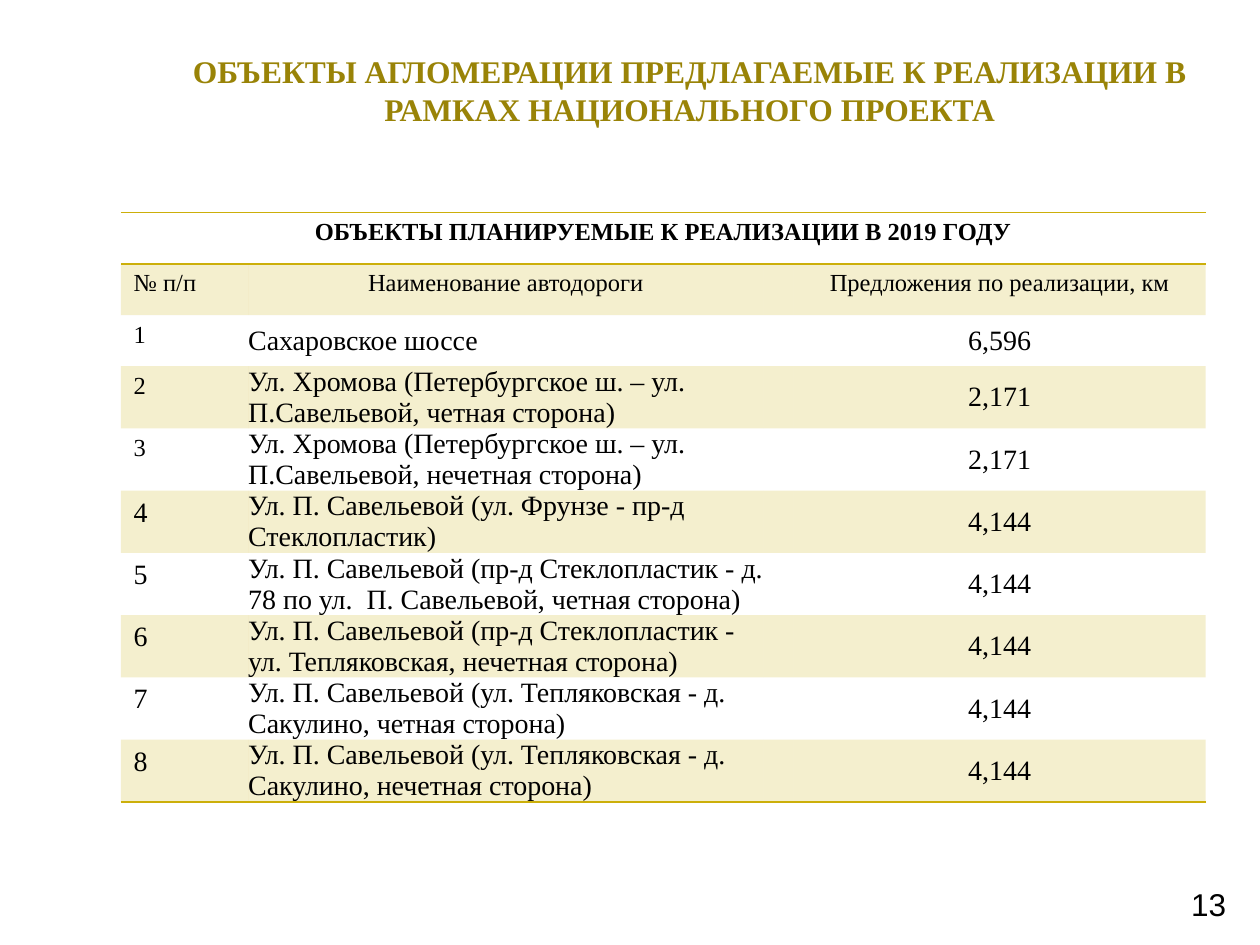
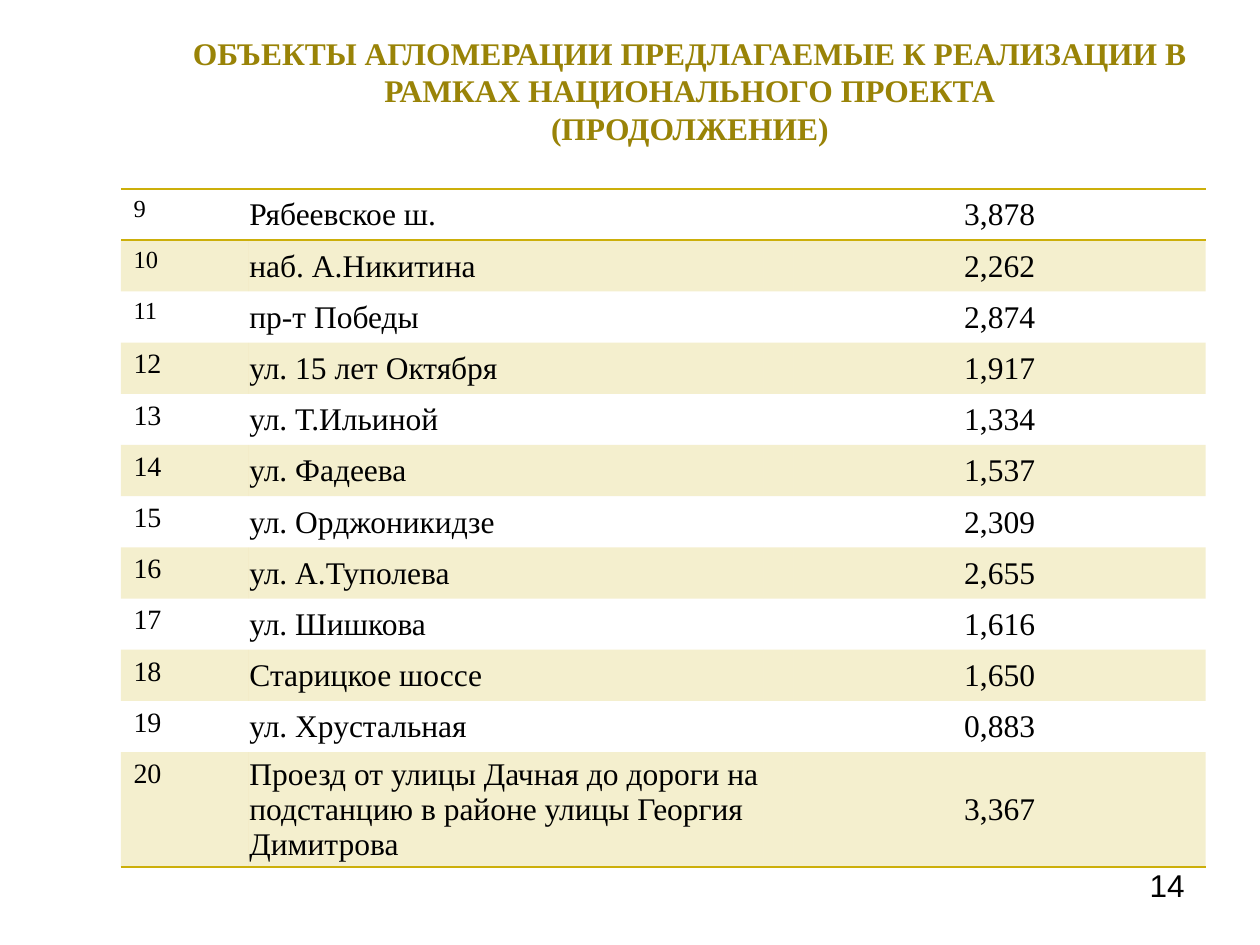
"""Build two slides that list the road works proposed for the national project."""

import dataclasses

import lxml.etree
import pptx
import pptx.dml.color
import pptx.enum.text
import pptx.oxml.ns
import pptx.presentation
import pptx.shapes.autoshape
import pptx.slide
import pptx.table
import pptx.text.text
import pptx.util

RGBColor = pptx.dml.color.RGBColor
ALIGN = pptx.enum.text.PP_ALIGN
ANCHOR = pptx.enum.text.MSO_ANCHOR
qn = pptx.oxml.ns.qn

BLACK = RGBColor(0x00, 0x00, 0x00)
TITLE_GOLD = RGBColor(0x99, 0x83, 0x07)
TABLE_GOLD = RGBColor(0xCC, 0xAF, 0x0A)
BAND_OPACITY = 20
SERIF = "Times New Roman"
SANS = "Arial"

WIDTH = pptx.util.Inches(10)
HEIGHT = pptx.util.Inches(7.5)
TABLE_LEFT = 0.096
COLUMN_SHARES = (0.101, 0.409, 0.023, 0.327)
ROW_SHARE = 0.0542
NUMBER_COLUMN, NAME_COLUMN, LENGTH_COLUMN = 0, 1, 3
SMALL_NUMBER_COUNT = 3
NO_STYLE = "{2D5ABB26-0587-4C30-8999-92F81FD0307C}"

TITLE = "ОБЪЕКТЫ АГЛОМЕРАЦИИ ПРЕДЛАГАЕМЫЕ К РЕАЛИЗАЦИИ В РАМКАХ НАЦИОНАЛЬНОГО ПРОЕКТА"


@dataclasses.dataclass(frozen=True)
class TextStyle:
    """Look of one run and its paragraph."""

    size: int
    font: str = SERIF
    color: RGBColor = BLACK
    bold: bool = False
    align: ALIGN = ALIGN.LEFT


@dataclasses.dataclass(frozen=True)
class Road:
    """One road and its proposed length in kilometres."""

    name: str
    length: str


@dataclasses.dataclass(frozen=True)
class RoadPage:
    """Content and layout of one slide."""

    title_lines: tuple[str, ...]
    table_top: float
    first_number: int
    roads: tuple[Road, ...]
    body_size: int
    side_inset: float
    page_number: str
    page_left: float
    page_top: float
    heading: str = ""
    headers: tuple[str, ...] = ()


TITLE_STYLE = TextStyle(18, color=TITLE_GOLD, bold=True, align=ALIGN.CENTER)
PAGE_STYLE = TextStyle(18, font=SANS, align=ALIGN.RIGHT)
HEADING_STYLE = TextStyle(14, bold=True, align=ALIGN.CENTER)

PAGES = (
    RoadPage(
        title_lines=(TITLE,),
        table_top=0.225,
        first_number=1,
        roads=(
            Road("Сахаровское шоссе", "6,596"),
            Road("Ул. Хромова (Петербургское ш. – ул. П.Савельевой, четная сторона)", "2,171"),
            Road("Ул. Хромова (Петербургское ш. – ул. П.Савельевой, нечетная сторона)", "2,171"),
            Road("Ул. П. Савельевой (ул. Фрунзе - пр-д Стеклопластик)", "4,144"),
            Road(
                "Ул. П. Савельевой (пр-д Стеклопластик - д. 78 по ул.  П. Савельевой, "
                "четная сторона)",
                "4,144",
            ),
            Road(
                "Ул. П. Савельевой (пр-д Стеклопластик - ул. Тепляковская, нечетная сторона)",
                "4,144",
            ),
            Road("Ул. П. Савельевой (ул. Тепляковская - д. Сакулино, четная сторона)", "4,144"),
            Road("Ул. П. Савельевой (ул. Тепляковская - д. Сакулино, нечетная сторона)", "4,144"),
        ),
        body_size=16,
        side_inset=0,
        page_number="13",
        page_left=0.75,
        page_top=0.93,
        heading="ОБЪЕКТЫ ПЛАНИРУЕМЫЕ К РЕАЛИЗАЦИИ В 2019 ГОДУ",
        headers=("№ п/п", "Наименование автодороги", "", "Предложения по реализации, км"),
    ),
    RoadPage(
        title_lines=(TITLE, "(ПРОДОЛЖЕНИЕ)"),
        table_top=0.2,
        first_number=9,
        roads=(
            Road("Рябеевское ш.", "3,878"),
            Road("наб. А.Никитина", "2,262"),
            Road("пр-т Победы", "2,874"),
            Road("ул. 15 лет Октября", "1,917"),
            Road("ул. Т.Ильиной", "1,334"),
            Road("ул. Фадеева", "1,537"),
            Road("ул. Орджоникидзе", "2,309"),
            Road("ул. А.Туполева", "2,655"),
            Road("ул. Шишкова", "1,616"),
            Road("Старицкое шоссе", "1,650"),
            Road("ул. Хрустальная", "0,883"),
            Road(
                "Проезд от улицы Дачная до дороги на подстанцию в районе улицы Георгия Димитрова",
                "3,367",
            ),
        ),
        body_size=18,
        side_inset=0.01,
        page_number="14",
        page_left=0.717,
        page_top=0.91,
    ),
)


def across(share: float) -> pptx.util.Emu:
    """Turn a share of the slide width into a length."""
    return pptx.util.Emu(round(WIDTH * share))


def down(share: float) -> pptx.util.Emu:
    """Turn a share of the slide height into a length."""
    return pptx.util.Emu(round(HEIGHT * share))


def write(paragraph: pptx.text.text._Paragraph, text: str, style: TextStyle) -> None:
    """Add one styled run to a paragraph."""
    paragraph.alignment = style.align
    run = paragraph.add_run()
    run.text = text
    run.font.size = pptx.util.Pt(style.size)
    run.font.name = style.font
    run.font.bold = style.bold
    run.font.color.rgb = style.color


def add_text(
    slide: pptx.slide.Slide,
    box: tuple[float, float, float, float],
    lines: tuple[str, ...],
    style: TextStyle,
    anchor: ANCHOR = ANCHOR.TOP,
) -> None:
    """Add a text box with one paragraph per line."""
    left, top, width, height = box
    shape = slide.shapes.add_textbox(across(left), down(top), across(width), down(height))
    frame = shape.text_frame
    frame.word_wrap = True
    frame.vertical_anchor = anchor
    for index, line in enumerate(lines):
        paragraph = frame.add_paragraph() if index else frame.paragraphs[0]
        write(paragraph, line, style)


def add_border(cell: pptx.table._Cell, side: str) -> None:
    """Draw a gold line on one side of a cell, named by its XML tag."""
    properties = cell._tc.get_or_add_tcPr()
    line = lxml.etree.SubElement(properties, qn(side), w=str(pptx.util.Pt(1)))
    fill = lxml.etree.SubElement(line, qn("a:solidFill"))
    lxml.etree.SubElement(fill, qn("a:srgbClr"), val=str(TABLE_GOLD))


def fill_cell(cell: pptx.table._Cell, banded: bool) -> None:
    """Give a cell the translucent band colour or no fill."""
    if not banded:
        cell.fill.background()
        return
    cell.fill.solid()
    cell.fill.fore_color.rgb = TABLE_GOLD
    color = cell._tc.tcPr.find(qn("a:solidFill")).find(qn("a:srgbClr"))
    lxml.etree.SubElement(color, qn("a:alpha"), val=str(BAND_OPACITY * 1000))


def format_grid(table: pptx.table.Table) -> None:
    """Set the column widths, lines and alternating bands."""
    for column, share in zip(table.columns, COLUMN_SHARES):
        column.width = across(share)
    last = len(table.rows) - 1
    for index, row in enumerate(table.rows):
        for cell in row.cells:
            if index == 0:
                add_border(cell, "a:lnT")
            if index in (0, last):
                add_border(cell, "a:lnB")
            fill_cell(cell, index % 2 == 1)


def write_body_cell(
    cell: pptx.table._Cell, text: str, style: TextStyle, side_inset: float
) -> None:
    """Write vertically centred text with tight insets."""
    inset = pptx.util.Inches(side_inset)
    cell.margin_left = cell.margin_right = cell.margin_top = inset
    cell.margin_bottom = 0
    cell.vertical_anchor = ANCHOR.MIDDLE
    write(cell.text_frame.paragraphs[0], text, style)


def write_headings(table: pptx.table.Table, page: RoadPage) -> int:
    """Write the heading rows and return how many there are."""
    if not page.heading:
        return 0
    title_cell = table.cell(0, 0)
    title_cell.merge(table.cell(0, len(COLUMN_SHARES) - 1))
    write(title_cell.text_frame.paragraphs[0], page.heading, HEADING_STYLE)
    for column, text in enumerate(page.headers):
        if text:
            align = ALIGN.CENTER if column else ALIGN.LEFT
            paragraph = table.cell(1, column).text_frame.paragraphs[0]
            write(paragraph, text, TextStyle(14, align=align))
    return 2


def add_road_table(slide: pptx.slide.Slide, page: RoadPage) -> None:
    """Add the table of roads for one page."""
    row_count = len(page.roads) + (2 if page.heading else 0)
    shape = slide.shapes.add_table(
        row_count,
        len(COLUMN_SHARES),
        across(TABLE_LEFT),
        down(page.table_top),
        across(sum(COLUMN_SHARES)),
        down(ROW_SHARE * row_count),
    )
    table = shape.table
    table.first_row = False
    table.horz_banding = False
    table._tbl.tblPr.find(qn("a:tableStyleId")).text = NO_STYLE
    format_grid(table)
    first_row = write_headings(table, page)
    name_style = TextStyle(page.body_size)
    length_style = dataclasses.replace(name_style, align=ALIGN.CENTER)
    for index, road in enumerate(page.roads):
        row = first_row + index
        number_style = TextStyle(14 if index < SMALL_NUMBER_COUNT else 16)
        number_cell = table.cell(row, NUMBER_COLUMN)
        write(number_cell.text_frame.paragraphs[0], str(page.first_number + index), number_style)
        write_body_cell(table.cell(row, NAME_COLUMN), road.name, name_style, page.side_inset)
        write_body_cell(table.cell(row, LENGTH_COLUMN), road.length, length_style, page.side_inset)


def add_page(presentation: pptx.presentation.Presentation, page: RoadPage) -> None:
    """Add one slide with its table, page number and title."""
    slide = presentation.slides.add_slide(presentation.slide_layouts[6])
    add_road_table(slide, page)
    page_box = (page.page_left, page.page_top, 0.233, 0.07)
    add_text(slide, page_box, (page.page_number,), PAGE_STYLE)
    title_box = (0.095, 0.039, 0.905, 0.113)
    add_text(slide, title_box, page.title_lines, TITLE_STYLE, ANCHOR.MIDDLE)


def main() -> None:
    """Build and save the presentation."""
    presentation = pptx.Presentation()
    presentation.slide_width = WIDTH
    presentation.slide_height = HEIGHT
    for page in PAGES:
        add_page(presentation, page)
    presentation.save("out.pptx")


main()
